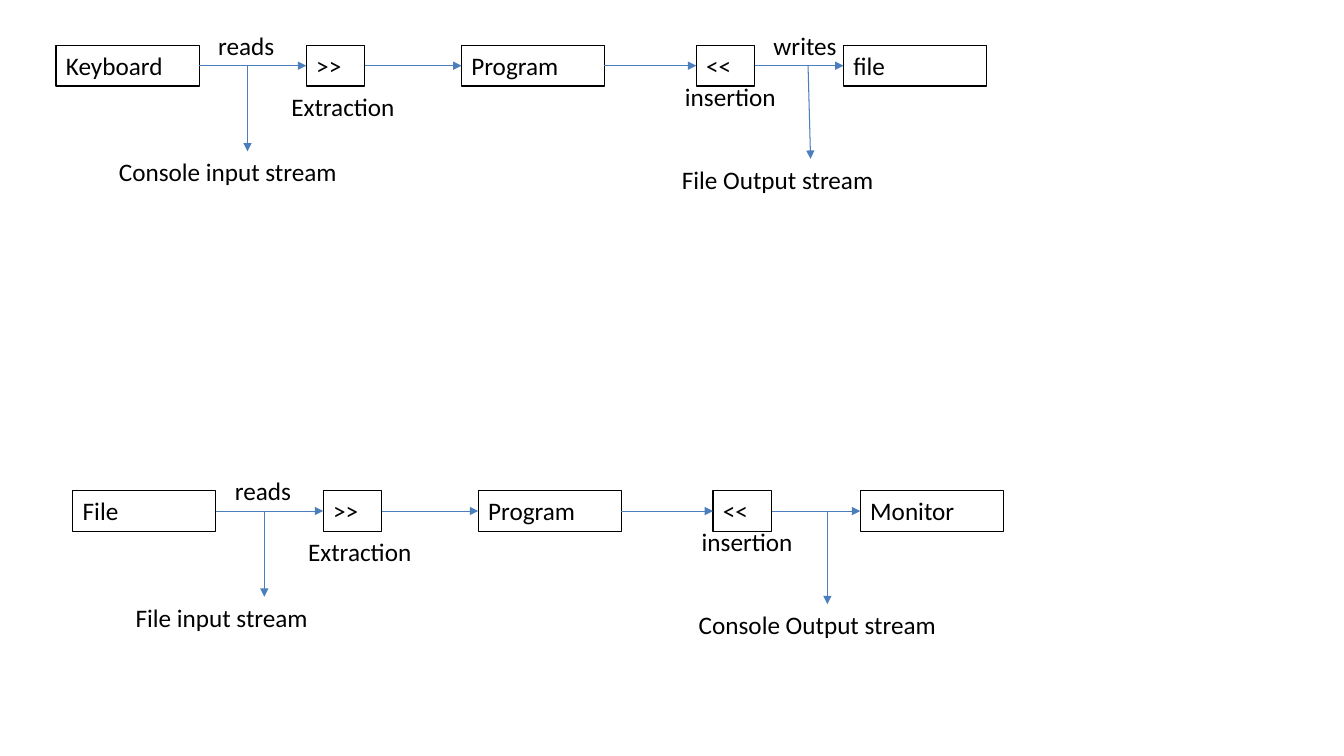
from dataclasses import dataclass
from itertools import pairwise

from lxml import etree
from pptx import Presentation
from pptx import util as u
from pptx.dml import color
from pptx.enum import shapes, text
from pptx.oxml import ns

COLOURS = {"ink": "000000", "arrow": "4B7EBC"}
FONT = "Calibri"
ROW_HEIGHT = 29.08
AXIS = ROW_HEIGHT / 2
LEFT_SITE, RIGHT_SITE = 1, 3  # connection sites of a rectangle


@dataclass(frozen=True)
class Flow:
    left: float
    top: float
    source: str
    target: str
    input_label: str
    output_label: str
    output_start: float
    write_label: str = ""


@dataclass(frozen=True)
class Label:
    caption: str
    left: float
    top: float
    width: float
    wrap: bool = True


FLOWS = [
    Flow(40, 32.4, "Keyboard", "file", "Console input stream",
         "File Output stream", 537.2, "writes"),
    Flow(52, 350.5, "File", "Monitor", "File input stream",
         "Console Output stream", 539),
]

# Left edge and width of the five boxes, measured from the flow's left edge
BOX_SPANS = [(0, 102.2), (178.8, 41.8), (289.6, 102.2), (457.3, 41.8), (562.5, 102.2)]


def rgb(name: str) -> color.RGBColor:
    return color.RGBColor.from_string(COLOURS[name])


def write_text(shape, caption: str, *, size: float = 18, colour: str = "ink",
               wrap: bool = True) -> None:
    frame = shape.text_frame
    frame.word_wrap = wrap
    frame.auto_size = text.MSO_AUTO_SIZE.SHAPE_TO_FIT_TEXT
    frame.vertical_anchor = text.MSO_ANCHOR.TOP
    para = frame.paragraphs[0]
    para.alignment = text.PP_ALIGN.LEFT
    span = para.add_run()
    span.text = caption
    span.font.name = FONT
    span.font.size = u.Pt(size)
    span.font.color.rgb = rgb(colour)


def add_box(page, caption: str, left: float, top: float, width: float):
    box = page.shapes.add_shape(shapes.MSO_SHAPE.RECTANGLE, u.Pt(left), u.Pt(top),
                                u.Pt(width), u.Pt(ROW_HEIGHT))
    box.shadow.inherit = False
    box.fill.background()
    box.line.color.rgb = rgb("ink")
    box.line.width = u.Pt(0.75)
    write_text(box, caption)
    return box


def add_label(page, flow: Flow, label: Label) -> None:
    box = page.shapes.add_textbox(u.Pt(flow.left + label.left), u.Pt(flow.top + label.top),
                                  u.Pt(label.width), u.Pt(ROW_HEIGHT))
    write_text(box, label.caption, wrap=label.wrap)


def add_arrow(page, start: tuple[float, float] = (0, 0), end: tuple[float, float] = (0, 0)):
    arrow = page.shapes.add_connector(shapes.MSO_CONNECTOR.STRAIGHT,
                                      *map(u.Pt, start), *map(u.Pt, end))
    arrow.line.color.rgb = rgb("arrow")
    arrow.line.width = u.Pt(0.75)
    properties = arrow._element.spPr
    etree.SubElement(properties.find(ns.qn("a:ln")), ns.qn("a:tailEnd"), type="triangle")
    etree.SubElement(properties, ns.qn("a:effectLst"))
    return arrow


def draw_flow(page, flow: Flow) -> None:
    # Row of boxes, joined by arrows
    captions = [flow.source, ">>", "Program", "<<", flow.target]
    boxes = [add_box(page, caption, flow.left + left, flow.top, width)
             for caption, (left, width) in zip(captions, BOX_SPANS)]
    for before, after in pairwise(boxes):
        arrow = add_arrow(page)
        arrow.begin_connect(before, RIGHT_SITE)
        arrow.end_connect(after, LEFT_SITE)

    # Arrows down to the stream names
    axis = flow.top + AXIS
    for start, end, drop in [(136.8, 136.8, 61.2), (flow.output_start, 539, 66.5)]:
        add_arrow(page, (flow.left + start, axis), (flow.left + end, axis + drop))

    # Labels around the row
    labels = [
        Label("reads", 108.7, -14.4, 55.4, wrap=False),
        Label(flow.write_label, 505.4, -14.4, 63.4, wrap=False),
        Label(flow.input_label, 37.8, 76, 198),
        Label(flow.output_label, 440, 81.2, 198),
        Label("Extraction", 161, 29.2, 136.8),
        Label("insertion", 442.2, 22, 84.2),
    ]
    for label in labels:
        if label.caption:
            add_label(page, flow, label)


def main() -> None:
    deck = Presentation()
    deck.slide_width, deck.slide_height = u.Pt(960), u.Pt(540)
    page = deck.slides.add_slide(deck.slide_layouts[6])
    for flow in FLOWS:
        draw_flow(page, flow)
    deck.save("out.pptx")


if __name__ == "__main__":
    main()
